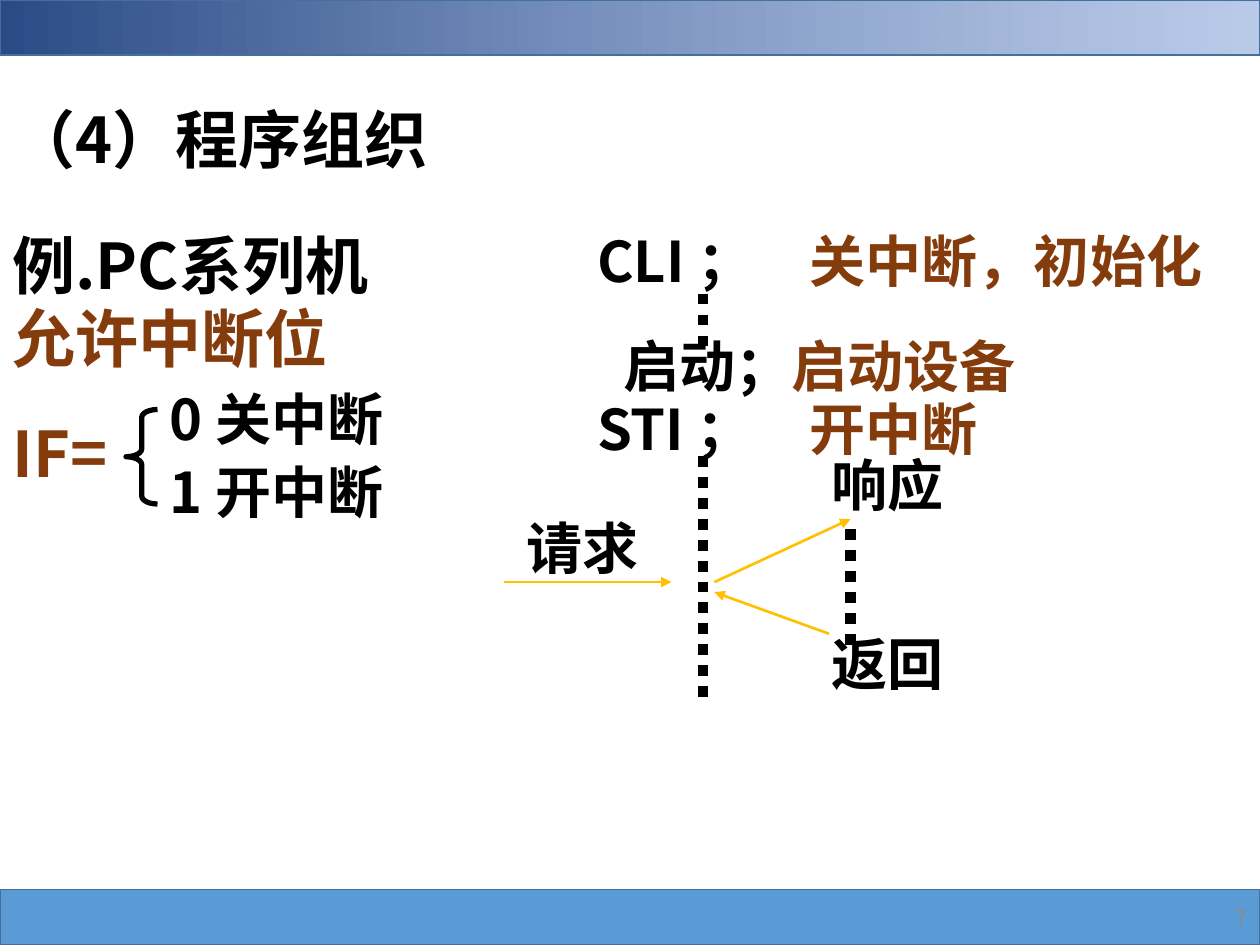
"""Build the slide on program organisation for interrupt handling."""
from lxml import etree
from pptx import Presentation
from pptx.dml.color import RGBColor
from pptx.enum.dml import MSO_LINE
from pptx.enum.shapes import MSO_CONNECTOR, MSO_SHAPE
from pptx.enum.text import MSO_ANCHOR, PP_ALIGN
from pptx.oxml.ns import qn
from pptx.util import Inches, Pt

STRAIGHT = MSO_CONNECTOR.STRAIGHT
RECTANGLE, LEFT_BRACE = MSO_SHAPE.RECTANGLE, MSO_SHAPE.LEFT_BRACE
DOTTED = MSO_LINE.ROUND_DOT
TOP, MIDDLE = MSO_ANCHOR.TOP, MSO_ANCHOR.MIDDLE
LEFT, RIGHT = PP_ALIGN.LEFT, PP_ALIGN.RIGHT

BLACK = RGBColor(0x00, 0x00, 0x00)
BROWN = RGBColor(0x84, 0x3C, 0x0C)
GOLD = RGBColor(0xFF, 0xC0, 0x00)
GREY = RGBColor(0x89, 0x89, 0x89)
BLUE = RGBColor(0x5B, 0x9B, 0xD5)
EDGE_BLUE = RGBColor(0x41, 0x71, 0x9C)
DEEP_BLUE = RGBColor(0x2A, 0x4B, 0x86)
PALE_BLUE = RGBColor(0x8F, 0xAA, 0xDC)
SANS, SERIF = "Noto Sans CJK SC", "Times New Roman"

SLIDE_WIDTH, SLIDE_HEIGHT, BAND_HEIGHT = 10, 7.5, 0.44
HEADING_SIZE, LABEL_SIZE = 36, 32
PROGRAM_X, HANDLER_X = 5.58, 6.75

TITLE = ("（4）程序组织", 0, 0.75, 4.67)
HEADINGS = [
    (["例.PC系列机"], 0, 1.75, 3.83, BLACK),
    (["允许中断位", "IF="], 0, 2.33, 3.75, BROWN),
]
LABELS = [
    ("CLI ；", 4.64, 1.75, 2.44, BLACK, SANS),
    ("关中断，初始化", 6.33, 1.75, 3.67, BROWN, SANS),
    ("启动；", 4.85, 2.58, 2.48, BLACK, SANS),
    ("启动设备", 6.18, 2.58, 2.48, BROWN, SANS),
    ("STI ；", 4.64, 3.08, 2.44, BLACK, SANS),
    ("开中断", 6.33, 3.08, 2.33, BROWN, SANS),
    ("0 关中断", 1.25, 3, 2.58, BLACK, SANS),
    ("1 开中断", 1.25, 3.58, 2.58, BLACK, SANS),
    ("请求", 4.08, 4.03, 1.83, BLACK, SERIF),
    ("响应", 6.5, 3.53, 1.67, BLACK, SANS),
    ("返回", 6.5, 4.95, 1.67, BLACK, SANS),
]
DOTTED_RUNS = [
    (PROGRAM_X, 2.33, 2.75),
    (PROGRAM_X, 3.62, 4.7),
    (HANDLER_X, 4.2, 5.12),
    (PROGRAM_X, 4.78, 5.53),
]
ARROWS = [
    (4, 4.62, 5.33, 4.62),
    (5.67, 4.62, HANDLER_X, 4.12),
    (6.58, 5.03, 5.67, 4.7),
]


def write(frame, lines, size, color, font=SANS, bold=True, align=LEFT, anchor=TOP):
    frame_format = {
        "word_wrap": True, "vertical_anchor": anchor,
        "margin_left": Inches(0.1), "margin_right": Inches(0.1),
        "margin_top": Inches(0.05), "margin_bottom": Inches(0.05),
    }
    for key, value in frame_format.items():
        setattr(frame, key, value)
    for index, line in enumerate(lines):
        paragraph = frame.add_paragraph() if index else frame.paragraphs[0]
        paragraph.alignment = align
        paragraph.line_spacing = 1.0
        paragraph.space_before = Pt(size * 0.625 if index else 0)
        run = paragraph.add_run()
        run.text = line
        for key, value in {"size": Pt(size), "bold": bold, "name": font}.items():
            setattr(run.font, key, value)
        run.font.color.rgb = color
        etree.SubElement(run.font._element, qn("a:ea"), typeface=SANS)


def add_text(slide, lines, left, top, width, height, *style, **options):
    box = slide.shapes.add_textbox(*map(Inches, (left, top, width, height)))
    write(box.text_frame, lines, *style, **options)


def add_band(slide, top):
    band = slide.shapes.add_shape(
        RECTANGLE, 0, Inches(top), Inches(SLIDE_WIDTH), Inches(BAND_HEIGHT))
    band.shadow.inherit = False
    band.line.color.rgb = EDGE_BLUE
    band.line.width = Pt(1)
    return band


def add_line(slide, ends, color, width):
    connector = slide.shapes.add_connector(STRAIGHT, *map(Inches, ends))
    connector.line.color.rgb = color
    connector.line.width = Pt(width)
    etree.SubElement(connector._element.spPr, qn("a:effectLst"))
    return connector


def main():
    deck = Presentation()
    deck.slide_width, deck.slide_height = Inches(SLIDE_WIDTH), Inches(SLIDE_HEIGHT)
    slide = deck.slides.add_slide(deck.slide_layouts[5])

    footer = add_band(slide, SLIDE_HEIGHT - BAND_HEIGHT)
    footer.fill.solid()
    footer.fill.fore_color.rgb = BLUE

    header = add_band(slide, 0)
    header.fill.gradient()
    header.fill.gradient_angle = 0
    for stop, color, position in zip(
            header.fill.gradient_stops, (DEEP_BLUE, PALE_BLUE), (0, 1)):
        stop.color.rgb = color
        stop.position = position
    pale = header._element.spPr.findall(".//" + qn("a:gs"))[-1][0]
    etree.SubElement(pale, qn("a:alpha"), val="61000")

    text, left, top, width = TITLE
    title = slide.shapes.title
    bounds = {"left": left, "top": top, "width": width, "height": 0.7}
    for key, value in bounds.items():
        setattr(title, key, Inches(value))
    write(title.text_frame, [text], HEADING_SIZE, BLACK)

    for lines, left, top, width, color in HEADINGS:
        height = 0.7 + 0.92 * (len(lines) - 1)
        add_text(slide, lines, left, top, width, height, HEADING_SIZE, color)
    for text, left, top, width, color, font in LABELS:
        add_text(slide, [text], left, top, width, 0.64, LABEL_SIZE, color, font)
    add_text(slide, ["7"], 9, 7.06, 1, BAND_HEIGHT, 12, GREY,
             bold=False, align=RIGHT, anchor=MIDDLE)

    brace = slide.shapes.add_shape(LEFT_BRACE, *map(Inches, (1, 3.25, 0.25, 0.75)))
    brace.shadow.inherit = False
    brace.adjustments[0] = 0.25
    brace.fill.background()
    brace.line.color.rgb = BLACK
    brace.line.width = Pt(3)

    for x, start, end in DOTTED_RUNS:
        add_line(slide, (x, start, x, end), BLACK, 6).line.dash_style = DOTTED
    for ends in ARROWS:
        arrow = add_line(slide, ends, GOLD, 1.5)
        etree.SubElement(arrow.line._get_or_add_ln(), qn("a:tailEnd"), type="triangle")

    deck.save("out.pptx")


if __name__ == "__main__":
    main()
